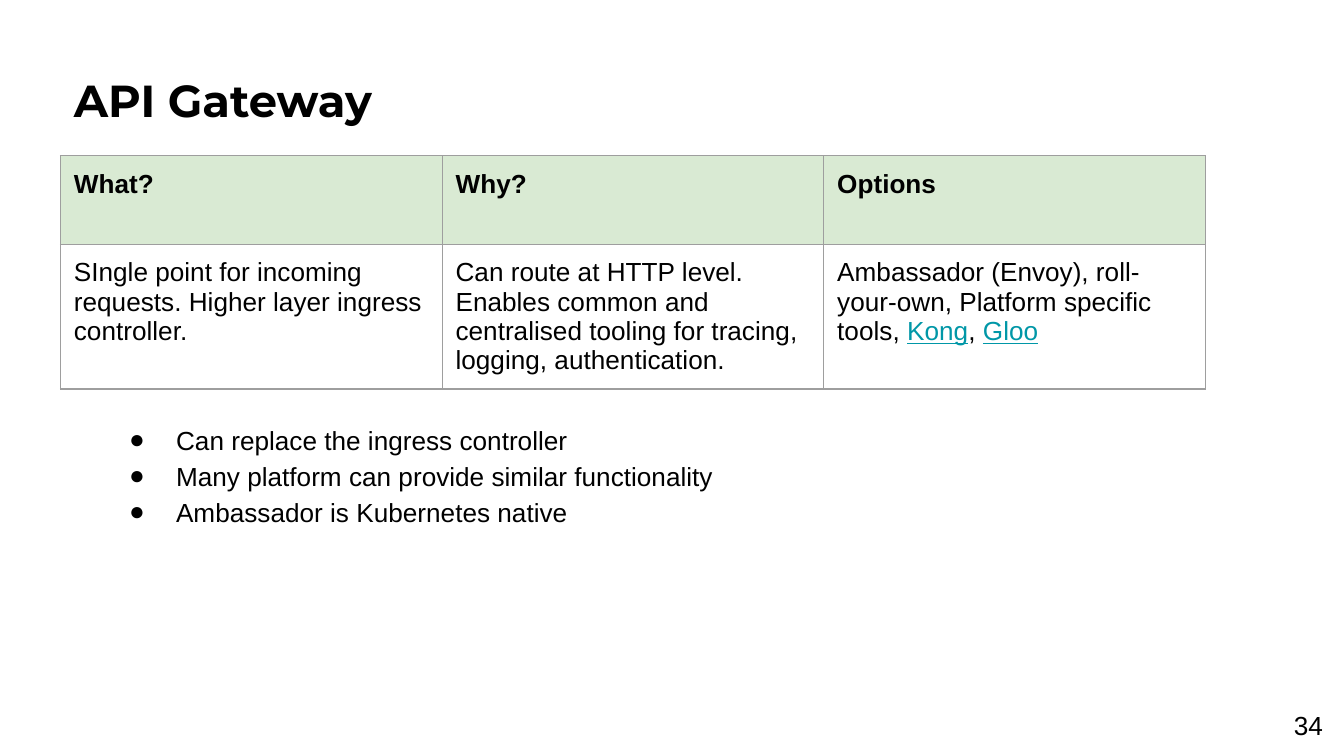
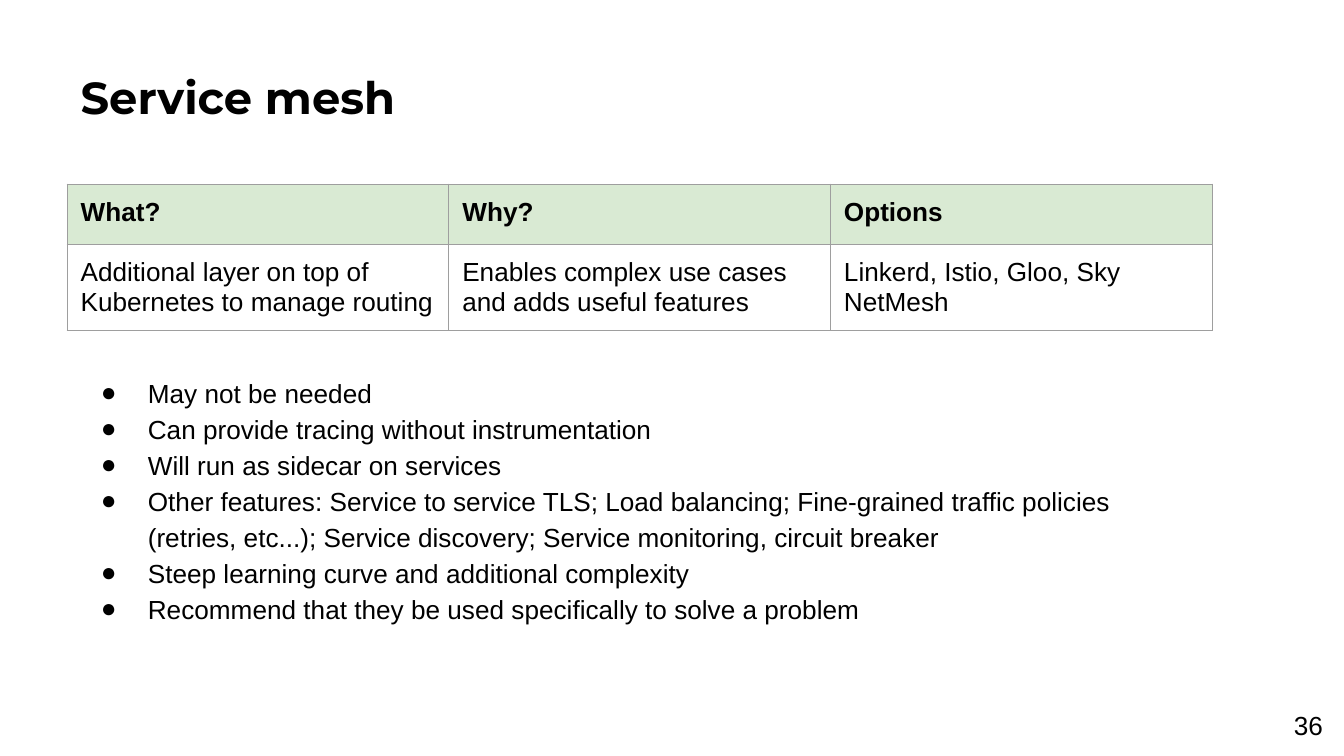
import pptx
import pptx.dml.color
import pptx.enum.text
import pptx.oxml
import pptx.oxml.ns
import pptx.util
from lxml import etree

Inches = pptx.util.Inches
Pt = pptx.util.Pt
Anchor = pptx.enum.text.MSO_ANCHOR
Align = pptx.enum.text.PP_ALIGN

BLACK, GREEN, GREY, TEAL = "000000", "D9EAD3", "9E9E9E", "0097A7"
TITLE = {"name": "Montserrat", "size": Pt(24), "bold": True}
TEXT = {"name": "Arial", "size": Pt(14), "bold": False}
HEAD = {**TEXT, "bold": True}
LINK = {**TEXT, "underline": True}
PAD = {f"margin_{side}": Inches(0.1) for side in ("left", "top", "right", "bottom")}
FRAME = {**PAD, "word_wrap": True, "auto_size": pptx.enum.text.MSO_AUTO_SIZE.NONE}
HEADS = ["What?", "Why?", "Options"]
WIDE, LOW = 2.84, 0.44


def color(code):
    """Turn a hex string into a colour."""
    return pptx.dml.color.RGBColor.from_string(code)


def style(item, values):
    """Set every attribute in a dict of format values."""
    for key, value in values.items():
        setattr(item, key, value)


def write(para, text, look, ink=BLACK):
    """Add one formatted run to a paragraph."""
    run = para.add_run()
    run.text = text
    style(run.font, look)
    run.font.color.rgb = color(ink)


def place(shape, box, anchor=Anchor.TOP):
    """Move a text shape to its box and return its frame."""
    style(shape, dict(zip(("left", "top", "width", "height"), map(Inches, box))))
    style(shape.text_frame, {**FRAME, "vertical_anchor": anchor})
    return shape.text_frame


def head(slide, text, box):
    """Fill the title."""
    para = place(slide.shapes.title, box).paragraphs[0]
    para.alignment = Align.LEFT
    write(para, text, TITLE)


def border(cell):
    """Draw a thin grey line on each side of a cell."""
    props = cell._tc.get_or_add_tcPr()
    for spot, side in enumerate(("lnL", "lnR", "lnT", "lnB")):
        line = pptx.oxml.parse_xml(
            f'<a:{side} {pptx.oxml.ns.nsdecls("a")} w="{Pt(0.75)}"><a:solidFill>'
            f'<a:srgbClr val="{GREY}"/></a:solidFill></a:{side}>')
        props.insert(spot, line)


def grid(slide, left, top, tall, cells):
    """Build the three-column table with a green heading row."""
    size = map(Inches, (left, top, WIDE * len(HEADS), tall + LOW))
    table = slide.shapes.add_table(2, len(HEADS), *size).table
    style(table, {"first_row": False, "horz_banding": False})
    for col in table.columns:
        col.width = Inches(WIDE)
    for row, high in zip(table.rows, (tall, LOW)):
        row.height = Inches(high)
    for col, (label, parts) in enumerate(zip(HEADS, cells)):
        top_cell, low_cell = table.cell(0, col), table.cell(1, col)
        write(top_cell.text_frame.paragraphs[0], label, HEAD)
        for text, look, ink in parts:
            write(low_cell.text_frame.paragraphs[0], text, look, ink)
        top_cell.fill.solid()
        top_cell.fill.fore_color.rgb = color(GREEN)
        low_cell.fill.background()
        for cell in (top_cell, low_cell):
            style(cell, PAD)
            border(cell)


def bullet(para):
    """Give a paragraph a black dot and a hanging indent."""
    props = para._p.get_or_add_pPr()
    props.set("marL", str(Inches(0.5)))
    props.set("indent", str(Inches(-0.35)))
    tag = pptx.oxml.ns.qn
    ink = etree.SubElement(props, tag("a:buClr"))
    etree.SubElement(ink, tag("a:srgbClr"), val=BLACK)
    etree.SubElement(props, tag("a:buFont"), typeface="Arial")
    etree.SubElement(props, tag("a:buChar"), char="●")


def points(slide, lines, box):
    """Fill the body with a bulleted list."""
    frame = place(slide.placeholders[1], box)
    for spot, line in enumerate(lines):
        para = frame.add_paragraph() if spot else frame.paragraphs[0]
        style(para, {"line_spacing": 1.15, "space_before": Pt(0),
                     "space_after": Pt(0), "alignment": Align.LEFT})
        bullet(para)
        write(para, line, TEXT)


def number(slide, text):
    """Put the page number in the lower right corner."""
    box = (9.49, 5.18, 0.49, 0.43)
    shape = slide.shapes.add_textbox(*map(Inches, box))
    para = place(shape, box, Anchor.MIDDLE).paragraphs[0]
    para.alignment = Align.CENTER
    write(para, text, TEXT)


def plain(text):
    """Wrap unlinked text as the only part of a cell."""
    return [(text, TEXT, BLACK)]


def topic(deck, title, spot, page, table, cells, lines, box):
    """Build one topic slide: title, table, list and number."""
    slide = deck.slides.add_slide(deck.slide_layouts[1])
    left, top = spot
    head(slide, title, (left, top, 9.03, 0.65))
    number(slide, page)
    grid(slide, left, *table, cells)
    points(slide, lines, box)


def main():
    """Build and save the deck."""
    deck = pptx.Presentation()
    deck.slide_width = Inches(10)
    deck.slide_height = Inches(10) * 9 // 16
    topic(deck, "API Gateway", (0.45, 0.44), "34", (1.16, 0.66), [
        plain("SIngle point for incoming requests. Higher layer ingress controller."),
        plain("Can route at HTTP level. Enables common and centralised tooling "
              "for tracing, logging, authentication."),
        [("Ambassador (Envoy), roll-your-own, Platform specific tools, ", TEXT, BLACK),
         ("Kong", LINK, TEAL), (", ", TEXT, BLACK), ("Gloo", LINK, TEAL)],
    ], [
        "Can replace the ingress controller",
        "Many platform can provide similar functionality",
        "Ambassador is Kubernetes native",
    ], (0.71, 3.02, 7.69, 1.75))
    topic(deck, "Service mesh", (0.5, 0.42), "36", (1.37, 0.45), [
        plain("Additional layer on top of Kubernetes to manage routing"),
        plain("Enables complex use cases and adds useful features"),
        plain("Linkerd, Istio, Gloo, Sky NetMesh"),
    ], [
        "May not be needed",
        "Can provide tracing without instrumentation",
        "Will run as sidecar on services",
        "Other features: Service to service TLS; Load balancing; Fine-grained "
        "traffic policies (retries, etc...); Service discovery; Service "
        "monitoring, circuit breaker",
        "Steep learning curve and additional complexity",
        "Recommend that they be used specifically to solve a problem",
    ], (0.5, 2.67, 8.53, 2.03))
    deck.save("out.pptx")


if __name__ == "__main__":
    main()
